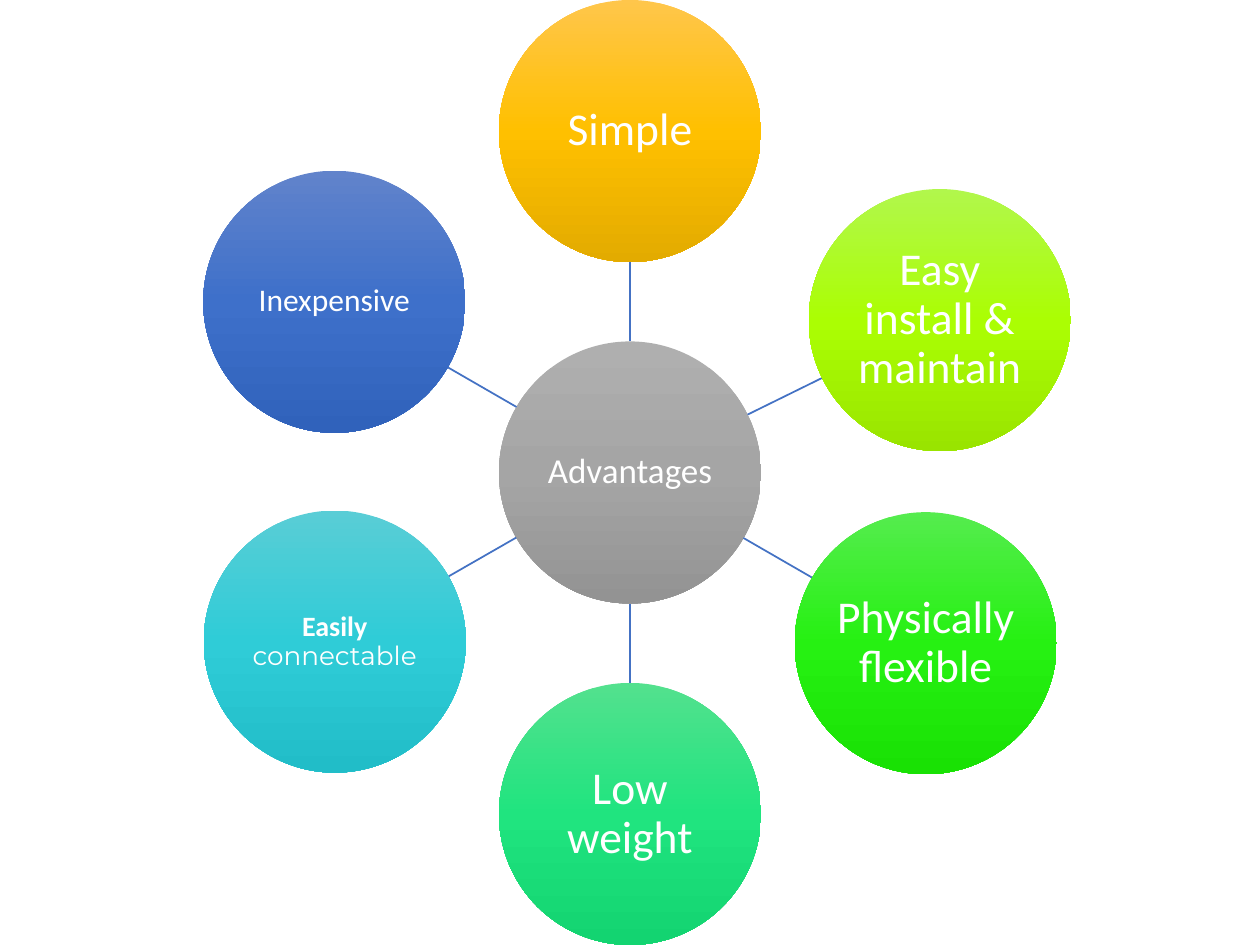
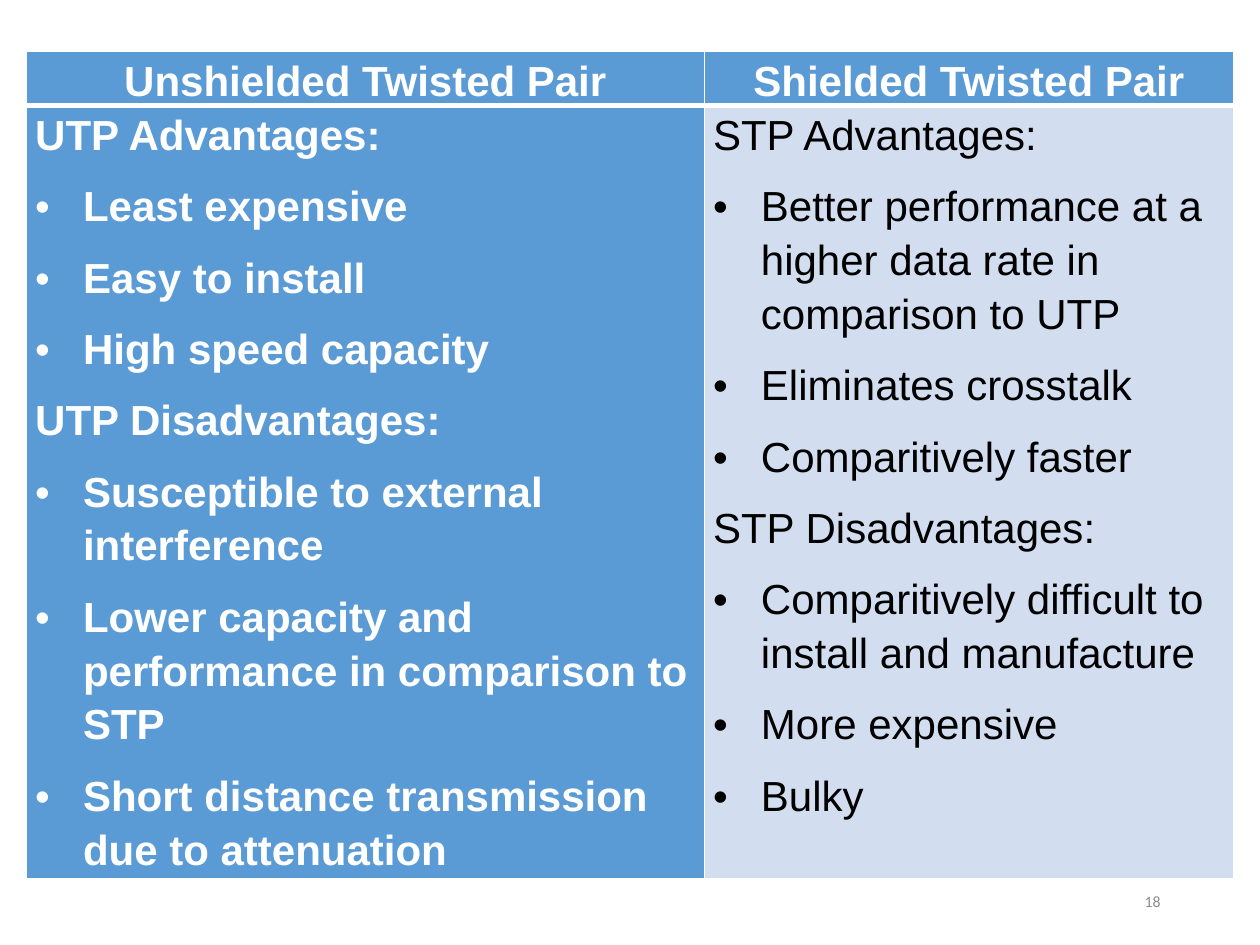
from collections import namedtuple
from copy import deepcopy
from math import cos, radians, sin

from lxml.etree import SubElement
from pptx import Presentation
from pptx.dml.color import RGBColor
from pptx.enum.shapes import MSO_CONNECTOR as Connector, MSO_SHAPE as Shape
from pptx.enum.text import MSO_ANCHOR as Anchor, PP_ALIGN as Align
from pptx.oxml.ns import qn
from pptx.util import Pt

EMU_PER_PX = 9144  # 100 px to the inch
Box = namedtuple("Box", "left top width height")
Span = namedtuple("Span", "text size font bold")
Bubble = namedtuple("Bubble", "spans shades inset")


def rgb(code):
    return RGBColor.from_string(code)


WHITE, BLACK = rgb("FFFFFF"), rgb("000000")
SPOKE_BLUE, TABLE_BLUE, PALE_BLUE = rgb("4472C4"), rgb("5B9BD5"), rgb("D2DEEF")
NUMBER_GREY = rgb("8C8C8C")
BODY_FONT, TABLE_FONT, ROUND_FONT = "Calibri", "Arial", "Montserrat"

DIAMETER = 208


def bubble(text, shades, size=26, inset=2):
    return Bubble([Span(text, size, BODY_FONT, False)], shades, inset)


HUB = bubble("Advantages", ("AFAFAF", "A5A5A5", "939393"), size=20, inset=1)
# Angle in degrees clockwise from the right, distance from the hub, bubble
SPOKES = [
    (-90, 271, bubble("Simple", ("FFC64B", "FFC000", "E3AB00"))),
    (-26.2, 274, bubble("Easy install & maintain", ("B1F74C", "ABFE03", "99E400"))),
    (30, 271, bubble("Physically flexible", ("55EC4E", "26F112", "19E104"))),
    (90, 271, bubble("Low weight", ("53E18E", "20E47F", "13D471"))),
    (150.2, 270, Bubble([Span("Easily ", 16, BODY_FONT, True),
                         Span("connectable", 15, ROUND_FONT, False)],
                        ("59CDD6", "2FCCD7", "21BDC8"), 1)),
    (210, 271, bubble("Inexpensive", ("6183CB", "3E70CA", "3062BB"), size=18, inset=1)),
]

COLUMN_WIDTHS, ROW_HEIGHTS = (538, 420), (41, 614)
HEADINGS = ("Unshielded Twisted Pair", "Shielded Twisted Pair")
UTP_POINTS = {
    "UTP Advantages:": ["Least expensive", "Easy to install", "High speed capacity"],
    "UTP Disadvantages:": [
        "Susceptible to external interference",
        "Lower capacity and performance in comparison to STP",
        "Short distance transmission due to attenuation"],
}
STP_POINTS = {
    "STP Advantages:": [
        "Better performance at a higher data rate in comparison to UTP",
        "Eliminates crosstalk", "Comparitively faster"],
    "STP Disadvantages:": [
        "Comparitively difficult to install and manufacture",
        "More expensive", "Bulky"],
}


def px(length):
    return round(length * EMU_PER_PX)


def emu(box):
    return [px(length) for length in box]


def add_span(para, text, size=24, font=TABLE_FONT, color=WHITE, bold=False):
    span = para.add_run()
    span.text = text
    span.font.size = Pt(size)
    span.font.name = font
    span.font.bold = bold
    span.font.color.rgb = color


def shade(shape, shades):
    """Fill a shape from top to bottom with three evenly spaced colours."""
    shape.fill.gradient()
    shape.fill.gradient_angle = 270
    first = shape.element.spPr.find(".//" + qn("a:gs"))
    first.addnext(deepcopy(first))
    for index, (stop, code) in enumerate(zip(shape.fill.gradient_stops, shades)):
        stop.position = index / 2
        stop.color.rgb = rgb(code)


def add_bubble(page, x, y, item):
    """Draw a labelled circle centred on x, y."""
    corner = DIAMETER / 2
    circle = page.shapes.add_shape(
        Shape.OVAL, *emu(Box(x - corner, y - corner, DIAMETER, DIAMETER)))
    circle.shadow.inherit = False
    circle.line.fill.background()
    shade(circle, item.shades)
    frame = circle.text_frame
    frame.word_wrap = True
    frame.vertical_anchor = Anchor.MIDDLE
    frame.margin_left = frame.margin_right = px(item.inset)
    frame.margin_top = frame.margin_bottom = px(item.inset)
    para = frame.paragraphs[0]
    para.alignment = Align.CENTER
    para.line_spacing = 0.9
    for span in item.spans:
        add_span(para, span.text, size=span.size, font=span.font, bold=span.bold)


def add_spoke(page, start, end):
    spoke = page.shapes.add_connector(Connector.STRAIGHT, *emu(start + end))
    spoke.line.color.rgb = SPOKE_BLUE
    spoke.line.width = Pt(1)
    SubElement(spoke.element.spPr, qn("a:effectLst"))


def add_wheel(page, box):
    """Place the hub in the middle of the box with its bubbles around it."""
    hub_x, hub_y = box.left + box.width / 2, box.top + box.height / 2

    def point(angle, distance):
        turn = radians(angle)
        return hub_x + distance * cos(turn), hub_y + distance * sin(turn)

    add_bubble(page, hub_x, hub_y, HUB)
    for angle, distance, item in SPOKES:
        add_spoke(page, point(angle, DIAMETER / 2), point(angle, distance - DIAMETER / 2))
        add_bubble(page, *point(angle, distance), item)


def add_border(cell, **widths):
    """Draw white cell edges; keywords L, R, T and B give widths in points."""
    properties = cell._tc.get_or_add_tcPr()
    for side, width in widths.items():
        edge = SubElement(properties, qn(f"a:ln{side}"), w=str(Pt(width)))
        fill = SubElement(edge, qn("a:solidFill"))
        SubElement(fill, qn("a:srgbClr"), val=str(WHITE))


def style_cell(cell, fill, top=1, bottom=1):
    add_border(cell, L=1, R=1, T=top, B=bottom)
    cell.fill.solid()
    cell.fill.fore_color.rgb = fill
    cell.margin_left = cell.margin_right = px(7)
    cell.margin_top = cell.margin_bottom = 0


def add_bullet(para):
    properties = para._p.get_or_add_pPr()
    properties.set("marL", str(px(38)))
    properties.set("indent", str(-px(38)))
    SubElement(properties, qn("a:buFont"), typeface=TABLE_FONT)
    SubElement(properties, qn("a:buChar"), char="•")


def fill_points(cell, points, **style):
    lines = [(text, bulleted) for heading, items in points.items()
             for text, bulleted in [(heading, False)] + [(item, True) for item in items]]
    frame = cell.text_frame
    for index, (text, bulleted) in enumerate(lines):
        para = frame.add_paragraph() if index else frame.paragraphs[0]
        if bulleted:
            add_bullet(para)
        para.line_spacing = 1.15
        para.space_after = Pt(10)
        add_span(para, text, **style)


def add_comparison(page, box):
    table = page.shapes.add_table(2, 2, *emu(box)).table
    for column, width in zip(table.columns, COLUMN_WIDTHS):
        column.width = px(width)
    for row, height in zip(table.rows, ROW_HEIGHTS):
        row.height = px(height)
    for index, heading in enumerate(HEADINGS):
        cell = table.cell(0, index)
        style_cell(cell, TABLE_BLUE, bottom=3)
        para = cell.text_frame.paragraphs[0]
        para.alignment = Align.CENTER
        para.line_spacing = 1.15
        add_span(para, heading, bold=True)
    utp, stp = table.cell(1, 0), table.cell(1, 1)
    style_cell(utp, TABLE_BLUE, top=3)
    fill_points(utp, UTP_POINTS, bold=True)
    style_cell(stp, PALE_BLUE, top=3)
    fill_points(stp, STP_POINTS, color=BLACK)


def add_page_number(page, box, number):
    frame = page.shapes.add_textbox(*emu(box)).text_frame
    frame.word_wrap = True
    frame.vertical_anchor = Anchor.MIDDLE
    para = frame.paragraphs[0]
    para.alignment = Align.RIGHT
    add_span(para, number, size=9, font=BODY_FONT, color=NUMBER_GREY)


def main():
    deck = Presentation()
    deck.slide_width, deck.slide_height = px(1000), px(750)
    blank = deck.slide_layouts[6]
    add_wheel(deck.slides.add_slide(blank), Box(0, 0, 1000, 750))
    page = deck.slides.add_slide(blank)
    add_comparison(page, Box(21, 41, sum(COLUMN_WIDTHS), sum(ROW_HEIGHTS)))
    add_page_number(page, Box(706, 695, 225, 40), "18")
    deck.save("out.pptx")


if __name__ == "__main__":
    main()
